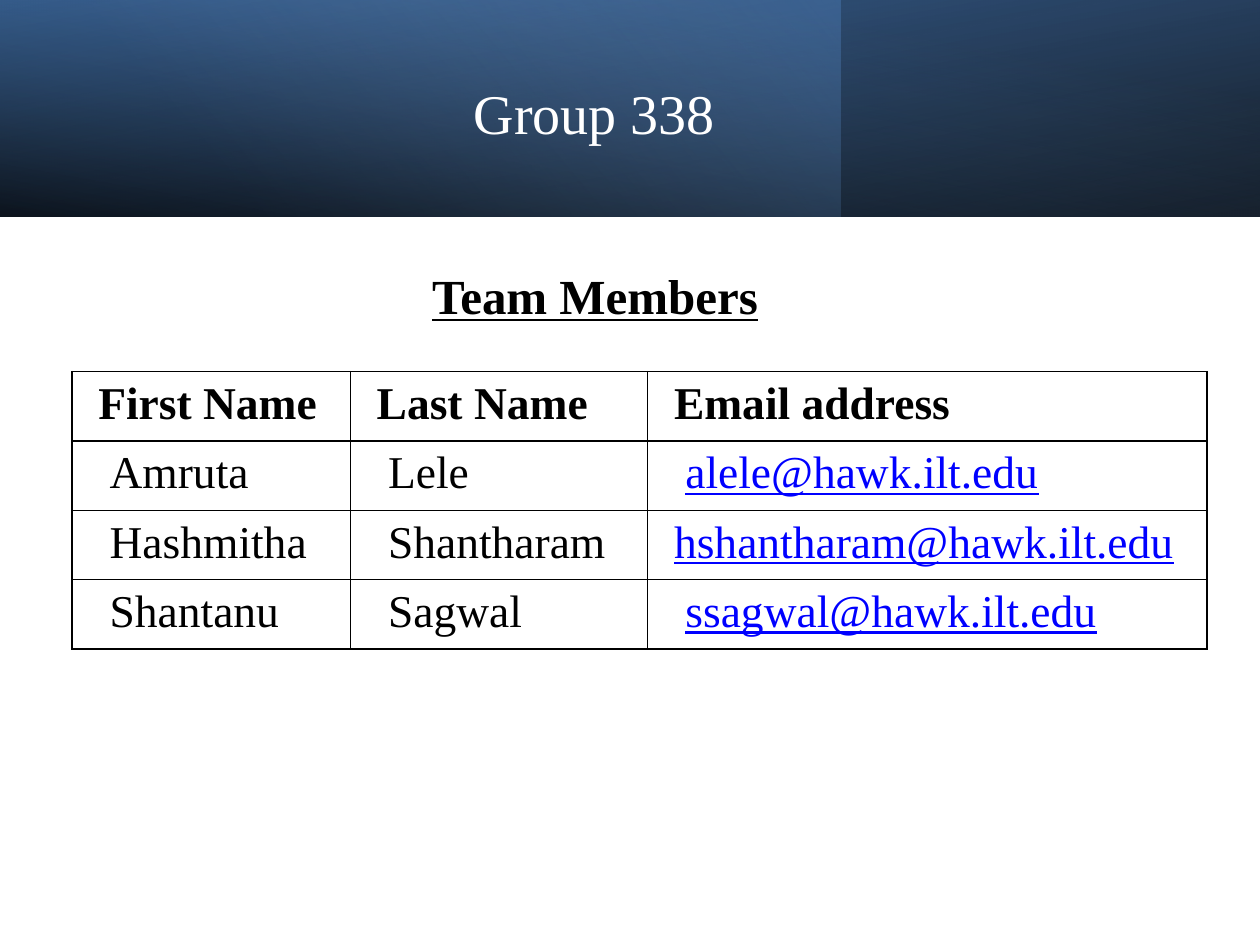
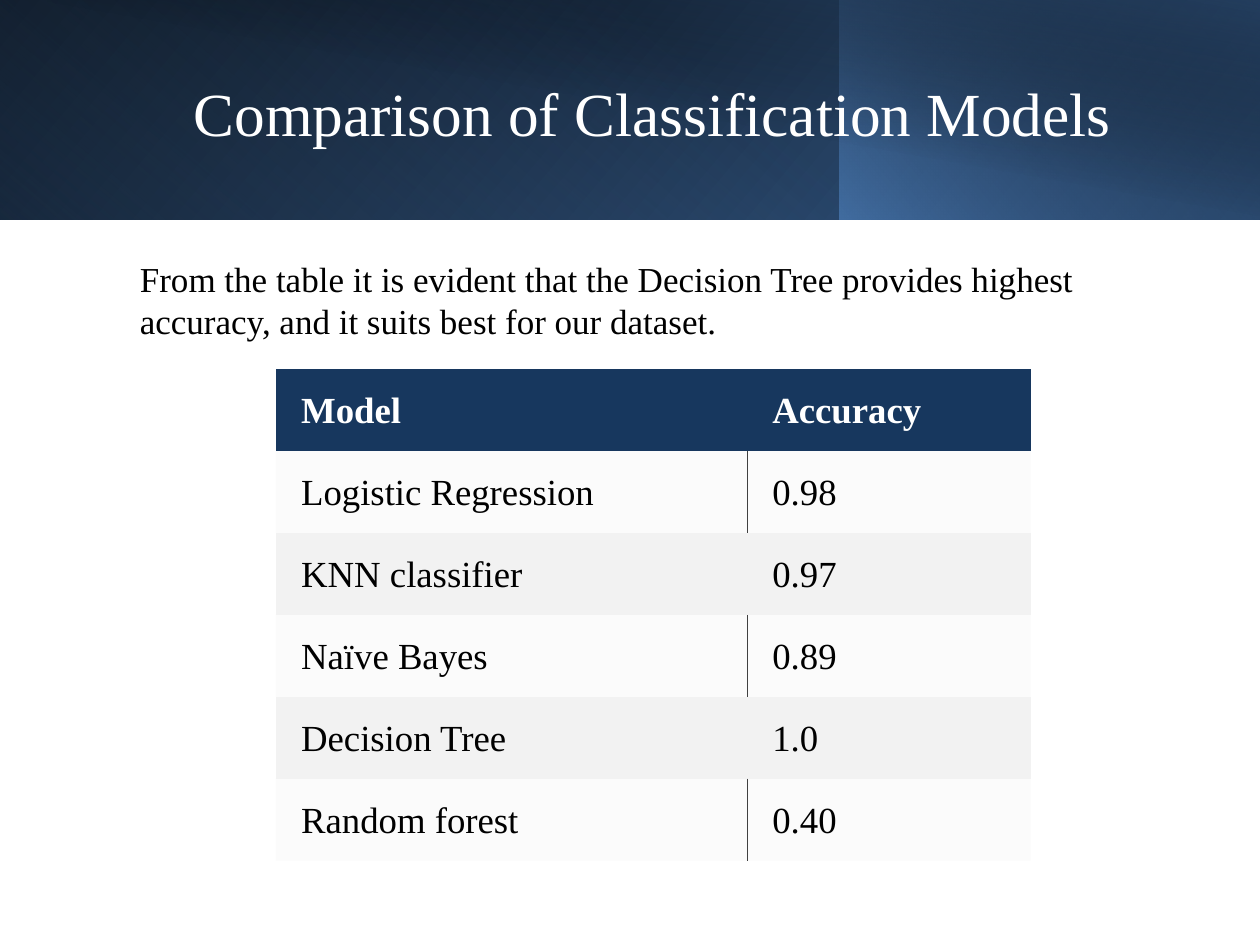
from dataclasses import dataclass, replace
from typing import Optional

from lxml.etree import SubElement
from pptx import Presentation
from pptx.dml.color import RGBColor
from pptx.enum.shapes import MSO_SHAPE
from pptx.enum.text import MSO_ANCHOR, MSO_AUTO_SIZE, PP_ALIGN
from pptx.oxml import parse_xml
from pptx.oxml.ns import nsdecls, qn
from pptx.util import Inches, Pt

FONT = "Times New Roman"
BLACK, WHITE = "000000", "FFFFFF"
BLUE, DARK_BLUE, NAVY, DEEP_BLUE = "4F81BD", "376092", "254061", "17375E"
PALE_BLUE, LINK_BLUE = "95B3D7", "0000FF"
LIGHT_GREY, RULE_GREY = "F2F2F2", "404040"
NO_STYLE_NO_GRID = "{2D5ABB26-0587-4C30-8999-92F81FD0307C}"


@dataclass(frozen=True)
class Box:
    left: float
    top: float
    width: float
    height: float


@dataclass(frozen=True)
class Stop:
    position: int
    color: str
    opacity: int = 100


@dataclass(frozen=True)
class Band:
    box: Box
    angle: int
    stops: tuple[Stop, ...]
    flipped: bool = True
    rotation: int = 0


@dataclass(frozen=True)
class TextStyle:
    size: int
    color: str = BLACK
    bold: bool = False
    underline: bool = False
    line_spacing: float = 1.0
    space_before: int = 0
    align: PP_ALIGN = PP_ALIGN.LEFT


@dataclass(frozen=True)
class Margins:
    left: float
    top: float
    right: float
    bottom: float


@dataclass(frozen=True)
class Grid:
    left: float
    top: float
    columns: tuple[float, ...]
    row_height: float
    margins: Margins
    rows: tuple[tuple[str, ...], ...]


TEAM_BANDS = (
    Band(Box(0, 0, 10, 1.72), 100, (Stop(0, BLACK, 96), Stop(100, DARK_BLUE)), rotation=180),
    Band(Box(0, 0, 6.67, 1.72), 140, (Stop(0, BLUE, 41), Stop(74, PALE_BLUE, 0)), flipped=False),
    Band(Box(0, 0, 10, 1.72), 260, (Stop(0, BLACK, 63), Stop(78, BLUE, 15))),
)
MODEL_BANDS = (
    Band(Box(0, 0, 10, 1.74), 140, (Stop(0, BLACK), Stop(100, DARK_BLUE))),
    Band(Box(0, 0, 6.66, 1.74), 230, (Stop(20, BLUE, 0), Stop(100, NAVY, 55)), rotation=180),
    Band(Box(6.66, 0, 3.34, 1.74), 220, (Stop(0, BLUE, 66), Stop(100, BLACK, 30))),
    Band(Box(0.38, 0, 9.62, 1.75), 280, (Stop(50, BLACK, 0), Stop(99, NAVY, 52)), flipped=False),
)
TEAM_GRID = Grid(
    0.57, 2.95, (2.21, 2.36, 4.44), 0.55, Margins(0.21, 0.03, 0.21, 0),
    (
        ("First Name", "Last Name", "Email address"),
        ("Amruta", "Lele", "alele@hawk.ilt.edu"),
        ("Hashmitha", "Shantharam", "hshantharam@hawk.ilt.edu"),
        ("Shantanu", "Sagwal", "ssagwal@hawk.ilt.edu"),
    ),
)
MODEL_GRID = Grid(
    2.19, 2.93, (3.74, 2.25), 0.65, Margins(0.2, 0.15, 0.12, 0.15),
    (
        ("Model", "Accuracy"),
        ("Logistic Regression", "0.98"),
        ("KNN classifier", "0.97"),
        ("Naïve Bayes", "0.89"),
        ("Decision Tree", "1.0"),
        ("Random forest", "0.40"),
    ),
)
TEAM_CELL = TextStyle(26, line_spacing=1.07)
MODEL_CELL = TextStyle(21, line_spacing=1.07)
ENTRY_INDENT = 0.09
LONGEST_INDENTED_ENTRY = 20


def rgb(color: str) -> RGBColor:
    return RGBColor.from_string(color)


def place(shape, box: Box) -> None:
    shape.left, shape.top = Inches(box.left), Inches(box.top)
    shape.width, shape.height = Inches(box.width), Inches(box.height)


def write(text_frame, text: str, style: TextStyle) -> None:
    text_frame.text = text
    paragraph = text_frame.paragraphs[0]
    paragraph.alignment = style.align
    paragraph.line_spacing = style.line_spacing
    paragraph.space_before = Pt(style.space_before)
    font = paragraph.runs[0].font
    font.name, font.size = FONT, Pt(style.size)
    font.bold, font.underline = style.bold, style.underline
    font.color.rgb = rgb(style.color)


def fill_placeholder(shape, box: Box, text: str, style: TextStyle) -> None:
    place(shape, box)
    text_frame = shape.text_frame
    write(text_frame, text, style)
    text_frame.word_wrap = True
    text_frame.auto_size = MSO_AUTO_SIZE.NONE
    text_frame.vertical_anchor = MSO_ANCHOR.MIDDLE
    properties = text_frame.paragraphs[0]._p.get_or_add_pPr()
    properties.set("marL", "0")
    properties.set("indent", "0")
    SubElement(properties, qn("a:buNone"))


def gradient_xml(band: Band) -> str:
    stops = "".join(
        f'<a:gs pos="{stop.position * 1000}"><a:srgbClr val="{stop.color}">'
        f'<a:alpha val="{stop.opacity * 1000}"/></a:srgbClr></a:gs>'
        for stop in band.stops
    )
    return (
        f'<a:gradFill {nsdecls("a")} rotWithShape="1"><a:gsLst>{stops}</a:gsLst>'
        f'<a:lin ang="{band.angle * 60000}" scaled="0"/></a:gradFill>'
    )


def add_band(slide, band: Band) -> None:
    """Draw a gradient band behind the slide's placeholders."""
    shape = slide.shapes.add_shape(MSO_SHAPE.RECTANGLE, 0, 0, 0, 0)
    place(shape, band.box)
    shape.rotation = band.rotation
    shape.shadow.inherit = False
    shape.line.fill.background()
    properties = shape.element.spPr
    if band.flipped:
        properties.find(qn("a:xfrm")).set("flipH", "1")
    properties.find(qn("a:prstGeom")).addnext(parse_xml(gradient_xml(band)))
    slide.shapes.title.element.addprevious(shape.element)


def add_title_slide(presentation, bands: tuple[Band, ...], title: str, box: Box, style: TextStyle):
    """Add a slide with its header bands and title."""
    slide = presentation.slides.add_slide(presentation.slide_layouts[1])
    for band in bands:
        add_band(slide, band)
    fill_placeholder(slide.shapes.title, box, title, style)
    return slide


def add_grid(slide, grid: Grid):
    """Add a plain table without style, with its sizes and cell margins set."""
    frame = slide.shapes.add_table(
        len(grid.rows), len(grid.columns), Inches(grid.left), Inches(grid.top),
        Inches(sum(grid.columns)), Inches(grid.row_height * len(grid.rows)),
    )
    table = frame.table
    table.first_row = table.horz_banding = False
    table._tbl.tblPr.find(qn("a:tableStyleId")).text = NO_STYLE_NO_GRID
    for column, width in zip(table.columns, grid.columns):
        column.width = Inches(width)
    for row in table.rows:
        row.height = Inches(grid.row_height)
    for cell in table.iter_cells():
        cell.margin_left, cell.margin_right = Inches(grid.margins.left), Inches(grid.margins.right)
        cell.margin_top, cell.margin_bottom = Inches(grid.margins.top), Inches(grid.margins.bottom)
    return table


def fill_cell(cell, color: Optional[str], opacity: int = 100) -> None:
    if color is None:
        cell.fill.background()
        return
    cell.fill.solid()
    cell.fill.fore_color.rgb = rgb(color)
    if opacity < 100:
        color_element = cell._tc.tcPr.find(f'{qn("a:solidFill")}/{qn("a:srgbClr")}')
        SubElement(color_element, qn("a:alpha"), val=str(opacity * 1000))


def set_borders(cell, sides: str, color: str, width: float) -> None:
    """Outline the given sides, listed in the order L, R, T, B."""
    for index, side in enumerate(sides):
        line = parse_xml(
            f'<a:ln{side} {nsdecls("a")} w="{Pt(width)}"><a:solidFill>'
            f'<a:srgbClr val="{color}"/></a:solidFill></a:ln{side}>'
        )
        cell._tc.get_or_add_tcPr().insert(index, line)


def add_team_table(slide) -> None:
    table = add_grid(slide, TEAM_GRID)
    for row_index, row in enumerate(TEAM_GRID.rows):
        for column_index, text in enumerate(row):
            cell = table.cell(row_index, column_index)
            is_header, is_address = row_index == 0, "@" in text
            style = replace(
                TEAM_CELL, bold=is_header, underline=is_address,
                color=LINK_BLUE if is_address else BLACK,
            )
            write(cell.text_frame, text, style)
            # The longest address needs the full cell width to stay on one line.
            if not is_header and len(text) <= LONGEST_INDENTED_ENTRY:
                cell.margin_left += Inches(ENTRY_INDENT)
            fill_cell(cell, None)
            set_borders(cell, "LRTB", BLACK, 1)


def add_model_table(slide) -> None:
    table = add_grid(slide, MODEL_GRID)
    for row_index, row in enumerate(MODEL_GRID.rows):
        for column_index, text in enumerate(row):
            cell = table.cell(row_index, column_index)
            if row_index == 0:
                write(cell.text_frame, text, replace(MODEL_CELL, color=WHITE, bold=True))
                cell.vertical_anchor = MSO_ANCHOR.MIDDLE
                fill_cell(cell, DEEP_BLUE)
                continue
            write(cell.text_frame, text, MODEL_CELL)
            is_pale = row_index % 2 == 1
            fill_cell(cell, LIGHT_GREY, 30 if is_pale else 100)
            if is_pale:
                set_borders(cell, "RL"[column_index], RULE_GREY, 0.5)


def build_team_slide(presentation) -> None:
    slide = add_title_slide(
        presentation, TEAM_BANDS, "Group 338", Box(3.66, 0.29, 5.79, 1.27),
        TextStyle(32, WHITE, line_spacing=0.9),
    )
    fill_placeholder(
        slide.placeholders[1], Box(3.33, 1.89, 3.24, 0.96), "Team Members",
        TextStyle(28, bold=True, underline=True, line_spacing=0.9, space_before=10),
    )
    add_team_table(slide)


def build_model_slide(presentation) -> None:
    slide = add_title_slide(
        presentation, MODEL_BANDS, "Comparison of Classification Models",
        Box(1.12, 0.32, 8.12, 1.13), TextStyle(35, WHITE, align=PP_ALIGN.CENTER),
    )
    body = slide.placeholders[1]
    fill_placeholder(
        body, Box(1.01, 1.5, 7.98, 2.08),
        "From the table it is evident that the Decision Tree provides highest accuracy, "
        "and it suits best for our dataset.",
        TextStyle(20, space_before=4),
    )
    body.text_frame.margin_bottom = Inches(0.37)
    add_model_table(slide)


def main() -> None:
    presentation = Presentation()
    presentation.slide_width, presentation.slide_height = Inches(10), Inches(7.5)
    build_team_slide(presentation)
    build_model_slide(presentation)
    presentation.save("out.pptx")


if __name__ == "__main__":
    main()
